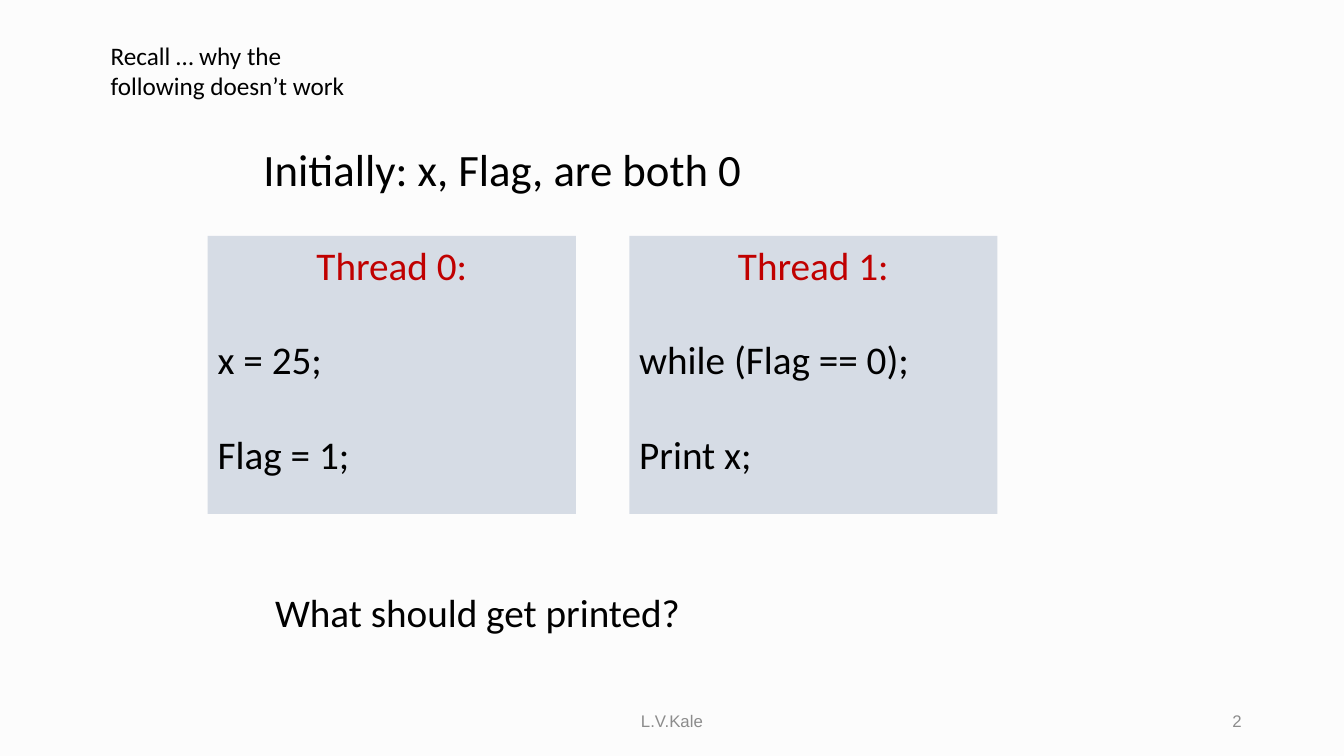
import pptx
import pptx.dml.color
import pptx.enum.shapes
import pptx.enum.text
import pptx.util

Pt = pptx.util.Pt
RGBColor = pptx.dml.color.RGBColor
ALIGN = pptx.enum.text.PP_ALIGN
ANCHOR = pptx.enum.text.MSO_ANCHOR

BACKGROUND = RGBColor(0xFC, 0xFC, 0xFC)
PANEL = RGBColor(0xD6, 0xDC, 0xE5)
HEADING = RGBColor(0xC0, 0x00, 0x00)
BLACK = RGBColor(0, 0, 0)
GRAY = RGBColor(0x8C, 0x8C, 0x8C)

BLANK_LAYOUT = 6
PANEL_GAP = 38.2
LINE_GAP = 34.2

THREADS = [
    ("Thread 0:", ["x = 25;", "Flag = 1;"]),
    ("Thread 1:", ["while (Flag == 0);", "Print x;"]),
]


def write(paragraph, text, size=28, font="Calibri", color=BLACK,
          align=ALIGN.LEFT, before=0):
    paragraph.alignment = align
    paragraph.space_before = Pt(before)
    run = paragraph.add_run()
    run.text = text
    run.font.size = Pt(size)
    run.font.name = font
    run.font.color.rgb = color


def add_label(slide, box, text, anchor=ANCHOR.TOP, **text_format):
    shape = slide.shapes.add_textbox(*map(Pt, box))
    frame = shape.text_frame
    frame.word_wrap = True
    frame.vertical_anchor = anchor
    write(frame.paragraphs[0], text, **text_format)


def add_thread_panel(slide, box, heading, statements):
    shape = slide.shapes.add_shape(
        pptx.enum.shapes.MSO_SHAPE.RECTANGLE, *map(Pt, box))
    shape.shadow.inherit = False
    shape.fill.solid()
    shape.fill.fore_color.rgb = PANEL
    shape.line.fill.background()
    frame = shape.text_frame
    frame.word_wrap = True
    frame.vertical_anchor = ANCHOR.TOP
    write(frame.paragraphs[0], heading, color=HEADING, align=ALIGN.CENTER)
    for statement in statements:
        write(frame.add_paragraph(), statement, before=LINE_GAP)


def add_threads(slide, box):
    """Place the thread panels side by side, equally wide, in the box."""
    left, top, width, height = box
    panel_width = (width - PANEL_GAP * (len(THREADS) - 1)) / len(THREADS)
    for index, (heading, statements) in enumerate(THREADS):
        panel_left = left + index * (panel_width + PANEL_GAP)
        add_thread_panel(slide, (panel_left, top, panel_width, height),
                         heading, statements)


def add_footer(slide, box):
    """Centre the author in the box and put the slide number at its right."""
    for text, align in (("L.V.Kale", ALIGN.CENTER), ("2", ALIGN.RIGHT)):
        add_label(slide, box, text, anchor=ANCHOR.MIDDLE, size=12,
                  font="Arial", color=GRAY, align=align)


def main():
    presentation = pptx.Presentation()
    presentation.slide_width = Pt(960)
    presentation.slide_height = Pt(540)
    slide = presentation.slides.add_slide(
        presentation.slide_layouts[BLANK_LAYOUT])
    slide.background.fill.solid()
    slide.background.fill.fore_color.rgb = BACKGROUND

    add_threads(slide, (148.4, 168.5, 564, 198.6))
    add_label(slide, (181, 98, 517, 67.7),
              "Initially: x, Flag, are both 0", size=32)
    add_label(slide, (189.4, 417, 446.4, 41), "What should get printed?")
    add_footer(slide, (66, 500.4, 828, 28.8))
    add_label(slide, (72, 25.2, 181.4, 51),
              "Recall … why the following doesn’t work", size=18)
    presentation.save("out.pptx")


if __name__ == "__main__":
    main()
